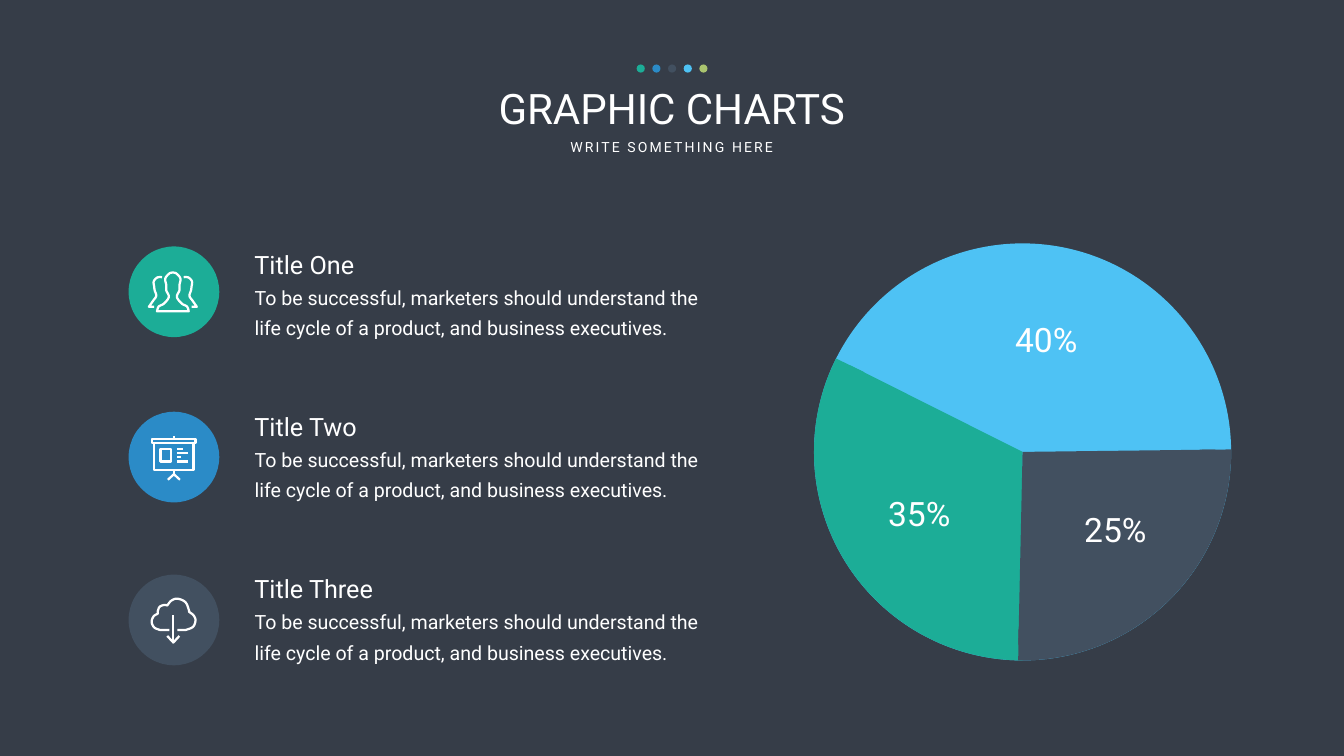
import pptx
import pptx.util
import pptx.dml.color
import pptx.enum.shapes
import pptx.enum.text

Cm = pptx.util.Cm
Pt = pptx.util.Pt
SHAPE = pptx.enum.shapes.MSO_SHAPE
ALIGN = pptx.enum.text.PP_ALIGN

COLORS = {
    "back": "363D48",
    "white": "FFFFFF",
    "green": "1CAD97",
    "blue": "2B8BC7",
    "slate": "425060",
    "sky": "4EC2F4",
    "lime": "AAC46F",
}
BODY = "To be successful, marketers should understand the life cycle of a product, and business executives."


def color(name):
    """Return the named palette colour."""
    return pptx.dml.color.RGBColor.from_string(COLORS[name])


def curve(*pts, steps=8):
    """Return points of a smooth curve passing through pts."""
    ends = [pts[0], *pts, pts[-1]]
    out = [pts[0]]
    for a, b, c, d in zip(ends, ends[1:], ends[2:], ends[3:]):
        for t in (n / steps for n in range(1, steps + 1)):
            out.append(tuple(
                0.5 * (2 * q + (r - p) * t + (2 * p - 5 * q + 4 * r - s) * t ** 2
                       + (3 * q - p - 3 * r + s) * t ** 3)
                for p, q, r, s in zip(a, b, c, d)))
    return out


def mirror(pts):
    """Return pts reversed and mirrored across the icon's middle."""
    return [(100 - x, y) for x, y in reversed(pts)]


def rect(x1, y1, x2, y2):
    """Return the closed outline of a rectangle."""
    return [(x1, y1), (x2, y1), (x2, y2), (x1, y2), (x1, y1)]


def people():
    """Return the strokes of the people icon."""
    half = curve((18.5, 79.5), (22, 70), (32.5, 64), (42, 51), (37, 38), (37, 28),
                 (35, 14.5), (43, 4.5), (50, 2.5))
    side = curve((28.5, 12), (25, 11.5), (18, 13), (12, 20.5), (13, 31), (14, 38),
                 (17, 49), (10.5, 59), (2.5, 70.5)) + [(13, 70.5)]
    return [half + mirror(half) + half[:1], side, mirror(side)]


def board():
    """Return the strokes of the presentation board icon."""
    lines = [[(51, y), (x, y)] for x, y in ((63, 26), (72, 34), (59, 42.5), (72, 51))]
    return [rect(2, 6, 88, 14), rect(6, 14, 84, 67), rect(18.5, 26, 39, 51), *lines,
            [(43, 3), (47, 3)], [(45, 67), (45, 76)], [(33, 87), (45, 76), (57, 87)]]


def cloud():
    """Return the strokes of the cloud download icon."""
    outline = [(37, 64)]
    outline += curve((18, 64), (7, 59), (2, 48), (6, 37), (14, 32))
    outline += curve((14, 27), (18, 18), (27, 14.5), (33, 15.5))
    outline += curve((33, 15.5), (41, 6), (53, 2), (69, 9), (76, 25), (76, 28))
    outline += curve((76, 28), (85, 35), (89, 45), (84, 58), (70, 64))
    return [outline + [(53, 64)], [(45, 35), (45, 89)], [(33, 76), (45, 89), (57, 76)]]


class Deck:
    """Holds the style and the current slide."""

    def __init__(self, width, height):
        """Start a presentation with one slide."""
        self.font = "Roboto"
        self.prs = pptx.Presentation()
        self.prs.slide_width, self.prs.slide_height = Cm(width), Cm(height)
        self.s = self.prs.slides.add_slide(self.prs.slide_layouts[0])
        self.s.background.fill.solid()
        self.s.background.fill.fore_color.rgb = color("back")

    def put_text(self, sp, text, size, align=ALIGN.LEFT, inset=(0.25, 0.13), wrap=True,
                 leading=None, spacing=None):
        """Put one formatted paragraph into a shape."""
        tf = sp.text_frame
        frame = {"word_wrap": wrap, "auto_size": pptx.enum.text.MSO_AUTO_SIZE.NONE,
                 "vertical_anchor": pptx.enum.text.MSO_ANCHOR.TOP,
                 "margin_left": Cm(inset[0]), "margin_right": Cm(inset[0]),
                 "margin_top": Cm(inset[1]), "margin_bottom": Cm(inset[1])}
        p = tf.paragraphs[0]
        r = p.add_run()
        r.text = text
        para = {"alignment": align, "space_before": Pt(0), "line_spacing": leading}
        font = {"name": self.font, "size": Pt(size)}
        for obj, fmt in ((tf, frame), (p, para), (r.font, font)):
            for key, value in fmt.items():
                setattr(obj, key, value)
        r.font.color.rgb = color("white")
        if spacing:
            r.font._element.set("spc", str(spacing * 100))

    def placeholder(self, index, box, text, size, **fmt):
        """Move and fill a layout placeholder."""
        sp = self.s.placeholders[index]
        for key, value in zip(("left", "top", "width", "height"), box):
            setattr(sp, key, Cm(value))
        self.put_text(sp, text, size, align=ALIGN.CENTER, **fmt)

    def text(self, box, text, size, **fmt):
        """Add a text box."""
        self.put_text(self.s.shapes.add_textbox(*map(Cm, box)), text, size, **fmt)

    def shape(self, kind, x, y, size, fill, line=None, angles=()):
        """Add a filled round shape."""
        sp = self.s.shapes.add_shape(kind, Cm(x), Cm(y), Cm(size), Cm(size))
        sp.shadow.inherit = False
        sp.fill.solid()
        sp.fill.fore_color.rgb = color(fill)
        if line:
            sp.line.color.rgb = color(fill)
            sp.line.width = Pt(line)
        else:
            sp.line.fill.background()
        for i, angle in enumerate(angles):
            sp.adjustments[i] = angle * 0.6

    def icon(self, x, y, strokes):
        """Add a white line icon."""
        k = 100
        fb = self.s.shapes.build_freeform(scale=Cm(2.54) / 100 / k)
        for stroke in strokes:
            pts = [(px * k, py * k) for px, py in stroke]
            fb.move_to(*pts[0])
            fb.add_line_segments(pts[1:], close=pts[0] == pts[-1])
        sp = fb.convert_to_shape(Cm(x), Cm(y))
        sp.shadow.inherit = False
        sp.fill.background()
        sp.line.color.rgb = color("white")
        sp.line.width = Pt(3.2)


def main():
    """Build the slide."""
    deck = Deck(67.72, 38.1)
    deck.placeholder(0, (19.56, 4.04, 28.58, 2.82), "GRAPHIC CHARTS", 60)
    deck.placeholder(1, (28.32, 6.86, 11.05, 1.12), "WRITE SOMETHING HERE", 20,
                     wrap=False, spacing=3)
    for i, name in enumerate(("green", "blue", "slate", "sky", "lime")):
        deck.shape(SHAPE.OVAL, 32.08 + 0.79 * i, 3.25, 0.41, name)

    pie = (41.81, 13.06, 19.43)
    deck.shape(SHAPE.OVAL, *pie, "sky", line=45)
    deck.shape(SHAPE.ARC, *pie, "green", line=45, angles=(89.96, 206.66))
    deck.shape(SHAPE.ARC, *pie, "slate", line=45, angles=(359.32, 91.25))
    for x, y, label in ((50.42, 15.93, "40%"), (44.02, 24.71, "35%"), (53.9, 25.5, "25%")):
        deck.text((x, y, 4.6, 2.69), label, 48, align=ALIGN.CENTER)

    items = (
        ("Title One", "green", 12.42, people(), (7.44, 13.67)),
        ("Title Two", "blue", 20.75, board(), (7.62, 21.97)),
        ("Title Three", "slate", 28.96, cloud(), (7.59, 30.12)),
    )
    for i, (title, name, y, strokes, spot) in enumerate(items):
        top = 12.42 + 8.17 * i
        deck.text((12.22, top + 1.37, 24.13, 3.53), BODY, 28, inset=(0.61, 0.3), leading=Pt(43))
        deck.text((12.57, top, 14.4, 1.8), title, 36)
        deck.shape(SHAPE.OVAL, 6.48, y, 4.57, name)
        deck.icon(*spot, strokes)
    deck.prs.save("out.pptx")


if __name__ == "__main__":
    main()
